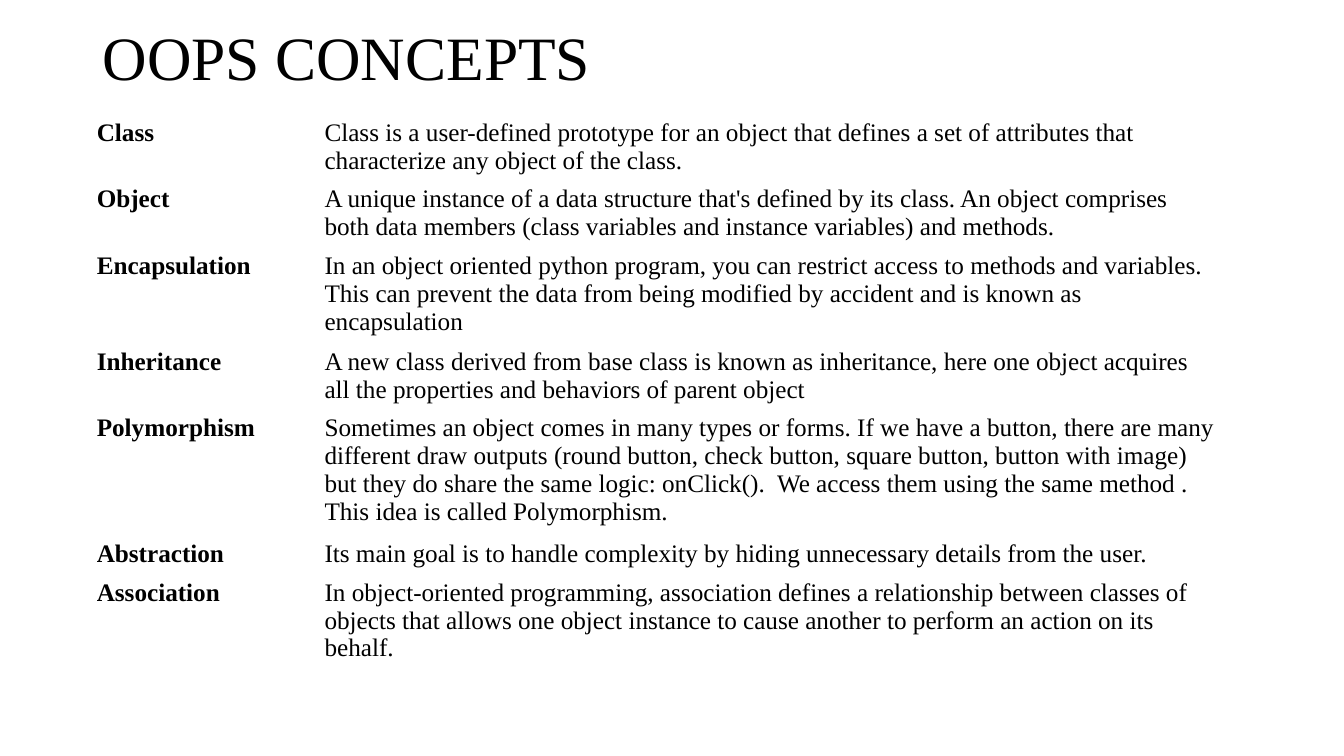
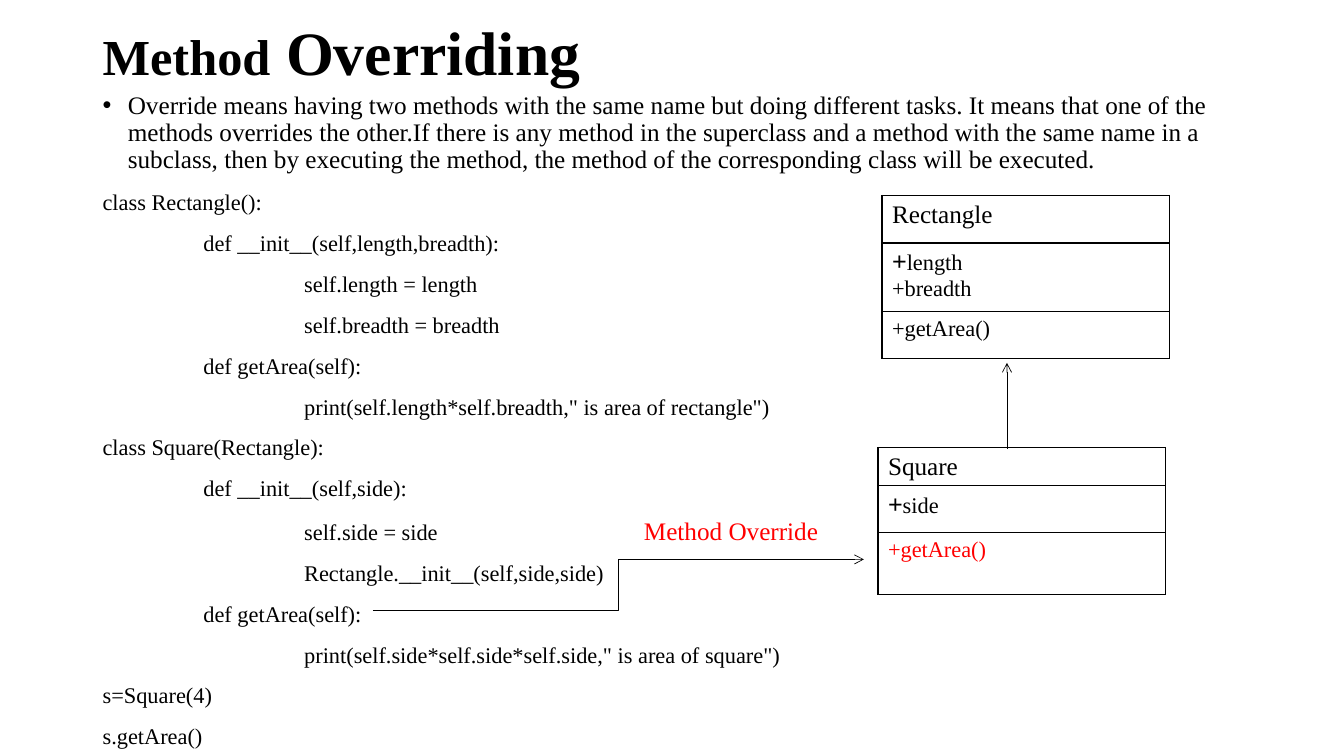
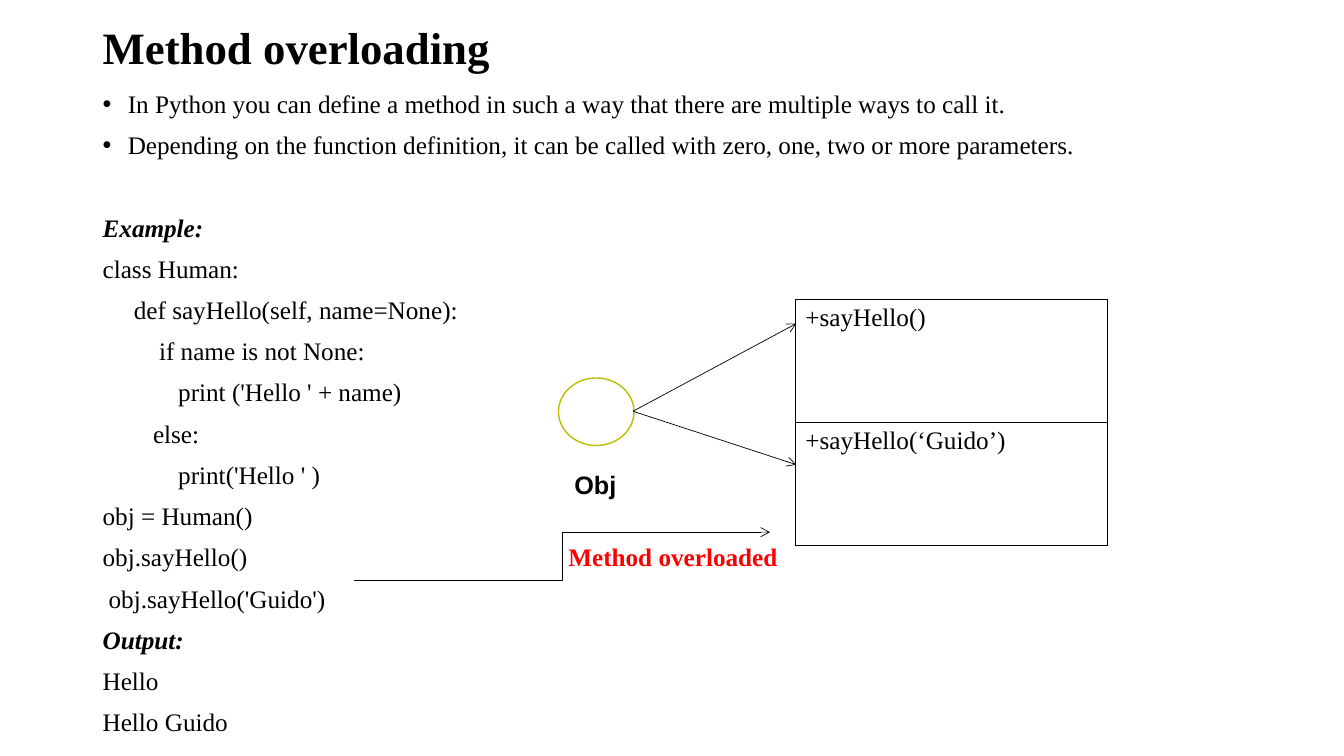
from pptx import Presentation
from pptx.dml.color import RGBColor
from pptx.enum.shapes import MSO_CONNECTOR as Connector, MSO_SHAPE as Preset
from pptx.enum.text import MSO_ANCHOR as Anchor
from pptx.oxml.ns import qn
from pptx.util import Inches, Pt
from lxml.etree import SubElement, Element

SERIF, SANS = "Times New Roman", "Arial"
BLACK, RED, WHITE, OLIVE = "000000", "FF0000", "FFFFFF", "BDBD00"
LEFT, WIDTH = 0.92, 11.5
TITLE_HEIGHT = 0.8
BULLET_SPACING, CODE_SPACING = 0.9, 1.0
GAP = 10

CONCEPTS = [
    ("Class", "Class is a user-defined prototype for an object that defines a set of "
     "attributes that characterize any object of the class."),
    ("Object", "A unique instance of a data structure that's defined by its class. An object "
     "comprises both data members (class variables and instance variables) and methods."),
    ("Encapsulation", "In an object oriented python program, you can restrict access to methods "
     "and variables. This can prevent the data from being modified by accident and is known "
     "as encapsulation"),
    ("Inheritance", "A new class derived from base class is known as inheritance, here one object "
     "acquires all the properties and behaviors of parent object"),
    ("Polymorphism", "Sometimes an object comes in many types or forms. If we have a button, there "
     "are many different draw outputs (round button, check button, square button, button with "
     "image) but they do share the same logic: onClick().  We access them using the same method . "
     "This idea is called Polymorphism."),
    ("Abstraction", "Its main goal is to handle complexity by hiding unnecessary details "
     "from the user."),
    ("Association", "In object-oriented programming, association defines a relationship between "
     "classes of objects that allows one object instance to cause another to perform an action "
     "on its behalf."),
]
CONCEPT_ROWS = [0.66, 0.66, 0.94, 0.66, 1.22, 0.38, 1.37]

OVERRIDING_BULLET = (
    "Override means having two methods with the same name but doing different tasks. It means "
    "that one of the methods overrides the other.If there is any method in the superclass and a "
    "method with the same name in a subclass, then by executing the method, the method of the "
    "corresponding class will be executed.")
OVERRIDING_CODE = [
    (0, "class Rectangle():"),
    (1, "def __init__(self,length,breadth):"),
    (2, "self.length = length"),
    (2, "self.breadth = breadth"),
    (1, "def getArea(self):"),
    (2, 'print(self.length*self.breadth," is area of rectangle")'),
    (0, "class Square(Rectangle):"),
    (1, "def __init__(self,side):"),
    (2, "self.side = side"),
    (2, "Rectangle.__init__(self,side,side)"),
    (1, "def getArea(self):"),
    (2, 'print(self.side*self.side*self.side," is area of square")'),
    (0, "s=Square(4)"),
    (0, "s.getArea()"),
]

OVERLOADING_BULLETS = [
    "In Python you can define a method in such a way that there are multiple ways to call it.",
    "Depending on the function definition, it can be called with zero, one, two or more parameters.",
]
OVERLOADING_CODE = [
    (0, "class Human:"),
    (0.31, "def sayHello(self, name=None):"),
    (0.56, "if name is not None:"),
    (0.75, "print ('Hello ' + name)"),
    (0.5, "else:"),
    (0.75, "print('Hello ' )"),
    (0, "obj = Human()"),
    (0, "obj.sayHello()"),
    (0.06, "obj.sayHello('Guido')"),
]
OVERLOADING_OUTPUT = ["Hello", "Hello Guido"]


def color(value):
    """Turn a hex string into a colour."""
    return RGBColor.from_string(value)


def add_run(paragraph, text, size=18, font=SERIF, ink=BLACK, bold=False, italic=False):
    """Add one formatted run."""
    run = paragraph.add_run()
    run.text = text
    run.font.size, run.font.name = Pt(size), font
    run.font.bold, run.font.italic = bold, italic
    run.font.color.rgb = color(ink)


def next_paragraph(frame):
    """Return the unused first paragraph of a frame, or a new one."""
    first = frame.paragraphs[0]
    return first if not first.runs else frame.add_paragraph()


def add_line(frame, text, indent=0, spacing=BULLET_SPACING, before=GAP, bullet=False, **style):
    """Add a body paragraph with its indent and an optional bullet."""
    paragraph = next_paragraph(frame)
    paragraph.line_spacing = spacing
    paragraph.space_before = Pt(before)
    properties = paragraph._p.get_or_add_pPr()
    properties.set("marL", str(Inches(0.25 if bullet else indent)))
    properties.set("indent", str(Inches(-0.25 if bullet else 0)))
    if bullet:
        SubElement(properties, qn("a:buFont")).set("typeface", SANS)
        SubElement(properties, qn("a:buChar")).set("char", "•")
    add_run(paragraph, text, **style)


def add_text_box(slide, left, top, width, height):
    """Add a wrapping text box and return its frame."""
    frame = slide.shapes.add_textbox(*map(Inches, (left, top, width, height))).text_frame
    frame.word_wrap = True
    return frame


def add_title(slide, middle, *runs):
    """Place the title runs on a line centred at the given height."""
    frame = add_text_box(slide, LEFT, middle - TITLE_HEIGHT / 2, WIDTH, TITLE_HEIGHT)
    frame.vertical_anchor = Anchor.MIDDLE
    frame.paragraphs[0].line_spacing = 0.9
    for text, size, bold in runs:
        add_run(frame.paragraphs[0], text, size, bold=bold)


def add_label(slide, left, top, text, **style):
    """Add a short label beside a diagram part."""
    frame = add_text_box(slide, left, top, 2.36, 0.4)
    add_run(frame.paragraphs[0], text, **style)


def add_plain_table(slide, left, top, columns, rows):
    """Add a table without banding or fills."""
    table = slide.shapes.add_table(
        len(rows), len(columns),
        *map(Inches, (left, top, sum(columns), sum(rows)))).table
    table.first_row = table.horz_banding = False
    for column, width in zip(table.columns, columns):
        column.width = Inches(width)
    for row, height in zip(table.rows, rows):
        row.height = Inches(height)
    for cell in table.iter_cells():
        cell.fill.background()
        cell.margin_bottom, cell.margin_right = 0, Inches(0.08)
    return table


def add_borders(cell):
    """Draw a thin black border around a cell."""
    properties = cell._tc.get_or_add_tcPr()
    for index, side in enumerate("LRTB"):
        border = Element(qn(f"a:ln{side}"), w=str(Pt(1)))
        fill = SubElement(border, qn("a:solidFill"))
        SubElement(fill, qn("a:srgbClr")).set("val", BLACK)
        properties.insert(index, border)


def add_class_box(slide, left, top, width, rows):
    """Add a class diagram box from heights and lines of runs."""
    table = add_plain_table(slide, left, top, [width], [height for height, _ in rows])
    for cell, (_, lines) in zip(table.iter_cells(), rows):
        add_borders(cell)
        for runs in lines:
            paragraph = next_paragraph(cell.text_frame)
            for text, style in runs:
                add_run(paragraph, text, **style)


def add_arrow(slide, start, end, kind=Connector.STRAIGHT):
    """Draw a thin connector with an open arrowhead at its end."""
    connector = slide.shapes.add_connector(kind, *map(Inches, (*start, *end)))
    connector.line.color.rgb = color(BLACK)
    connector.line.width = Pt(0.5)
    SubElement(connector.line._get_or_add_ln(), qn("a:tailEnd")).set("type", "arrow")
    SubElement(connector._element.spPr, qn("a:effectLst"))


def build_concepts(slide):
    """Build the table of concepts."""
    add_title(slide, 0.6, ("OOPS CONCEPTS", 44, False))
    table = add_plain_table(slide, 0.86, 1.13, [2.26, 9.03], CONCEPT_ROWS)
    for row, texts in zip(table.rows, CONCEPTS):
        for cell, text, bold in zip(row.cells, texts, (True, False)):
            add_run(cell.text_frame.paragraphs[0], text, bold=bold)


def build_overriding(slide):
    """Build the method overriding slide."""
    add_title(slide, 0.55, ("Method", 36, True), (" Overriding", 44, True))
    body = add_text_box(slide, LEFT, 0.87, WIDTH, 6.63)
    add_line(body, OVERRIDING_BULLET, bullet=True)
    for level, text in OVERRIDING_CODE:
        before = GAP + 2 if text == "self.side = side" else GAP
        add_line(body, text, level, CODE_SPACING, before, size=16)

    small, plus = {"size": 16}, ("+", {"font": SANS})
    add_class_box(slide, 8.75, 1.94, 2.85, [
        (0.47, [[("Rectangle", {})]]),
        (0.68, [[plus, ("length", small)], [("+breadth", small)]]),
        (0.47, [[("+getArea()", small)]]),
    ])
    add_class_box(slide, 8.71, 4.44, 2.85, [
        (0.38, [[("Square", {})]]),
        (0.46, [[plus, ("side", small)]]),
        (0.62, [[("+getArea()", {"size": 16, "ink": RED})]]),
    ])
    add_arrow(slide, (9.99, 4.45), (9.99, 3.6))
    add_arrow(slide, (3.7, 6.06), (8.57, 5.55), Connector.ELBOW)
    add_label(slide, 6.29, 5.06, "Method Override", ink=RED)


def build_overloading(slide):
    """Build the method overloading slide."""
    add_title(slide, 0.5, ("Method overloading", 32, True))
    body = add_text_box(slide, LEFT, 0.86, WIDTH, 6.25)
    for text in OVERLOADING_BULLETS:
        add_line(body, text, bullet=True)
    add_line(body, "Example:", before=39.4, bold=True, italic=True)
    for indent, text in OVERLOADING_CODE:
        add_line(body, text, indent)
    add_line(body, "Output:", bold=True, italic=True)
    for text in OVERLOADING_OUTPUT:
        add_line(body, text)

    calls = ["+sayHello()", "+sayHello(‘Guido’)"]
    add_class_box(slide, 7.89, 2.97, 3.1, [(1.22, [[(call, {})]]) for call in calls])
    instance = slide.shapes.add_shape(Preset.OVAL, *map(Inches, (5.54, 3.75, 0.75, 0.67)))
    instance.shadow.inherit = False
    instance.fill.solid()
    instance.fill.fore_color.rgb = color(WHITE)
    instance.line.color.rgb = color(OLIVE)
    instance.line.width = Pt(1)
    add_label(slide, 5.6, 4.61, "Obj", font=SANS, bold=True)
    for height in (3.21, 4.61):
        add_arrow(slide, (6.28, 4.08), (7.9, height))
    add_arrow(slide, (3.51, 5.76), (7.64, 5.28), Connector.ELBOW)
    add_label(slide, 5.54, 5.32, "Method overloaded", ink=RED, bold=True)


def main():
    """Build and save the presentation."""
    presentation = Presentation()
    presentation.slide_width, presentation.slide_height = Inches(40 / 3), Inches(7.5)
    for build in (build_concepts, build_overriding, build_overloading):
        build(presentation.slides.add_slide(presentation.slide_layouts[6]))
    presentation.save("out.pptx")


if __name__ == "__main__":
    main()
